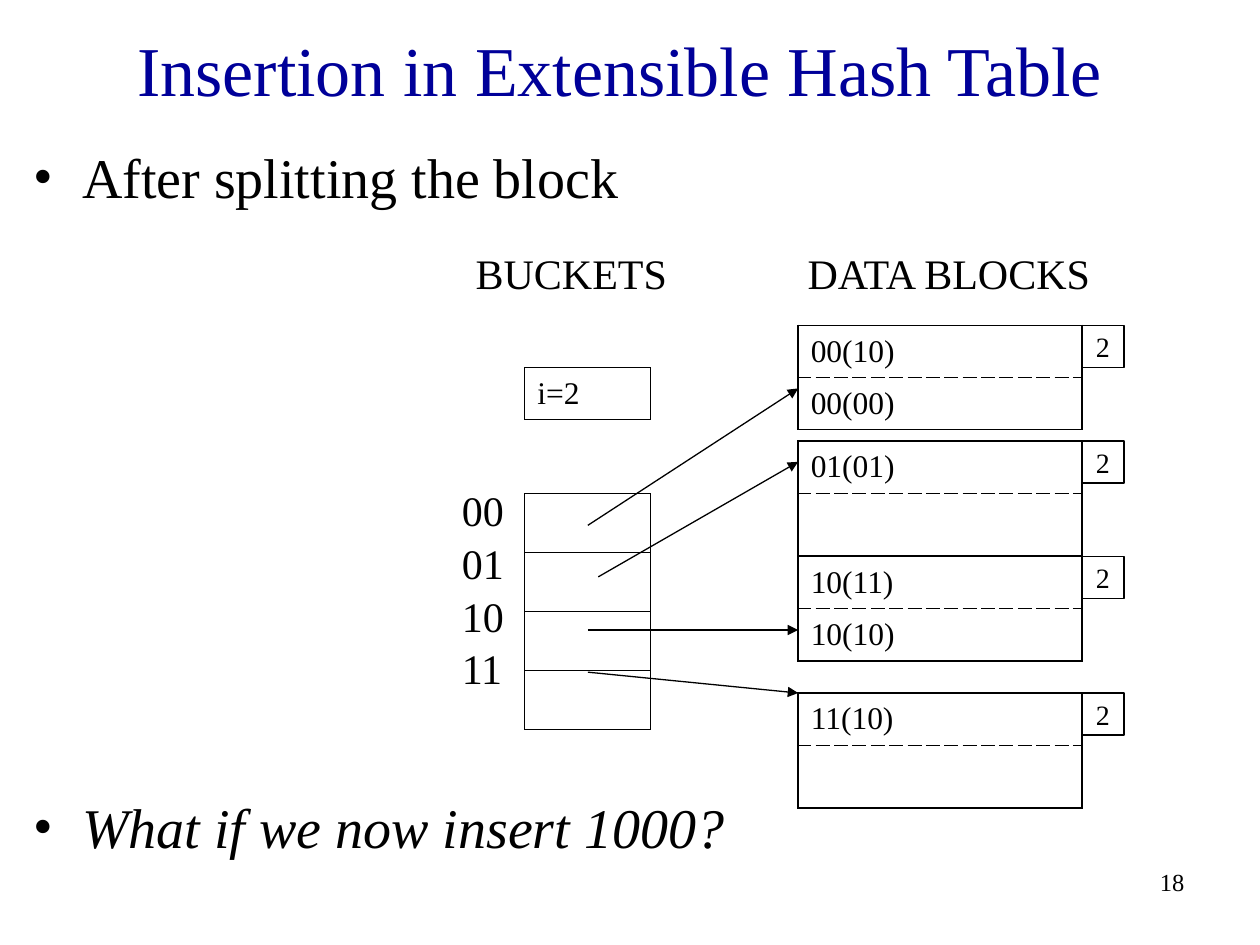
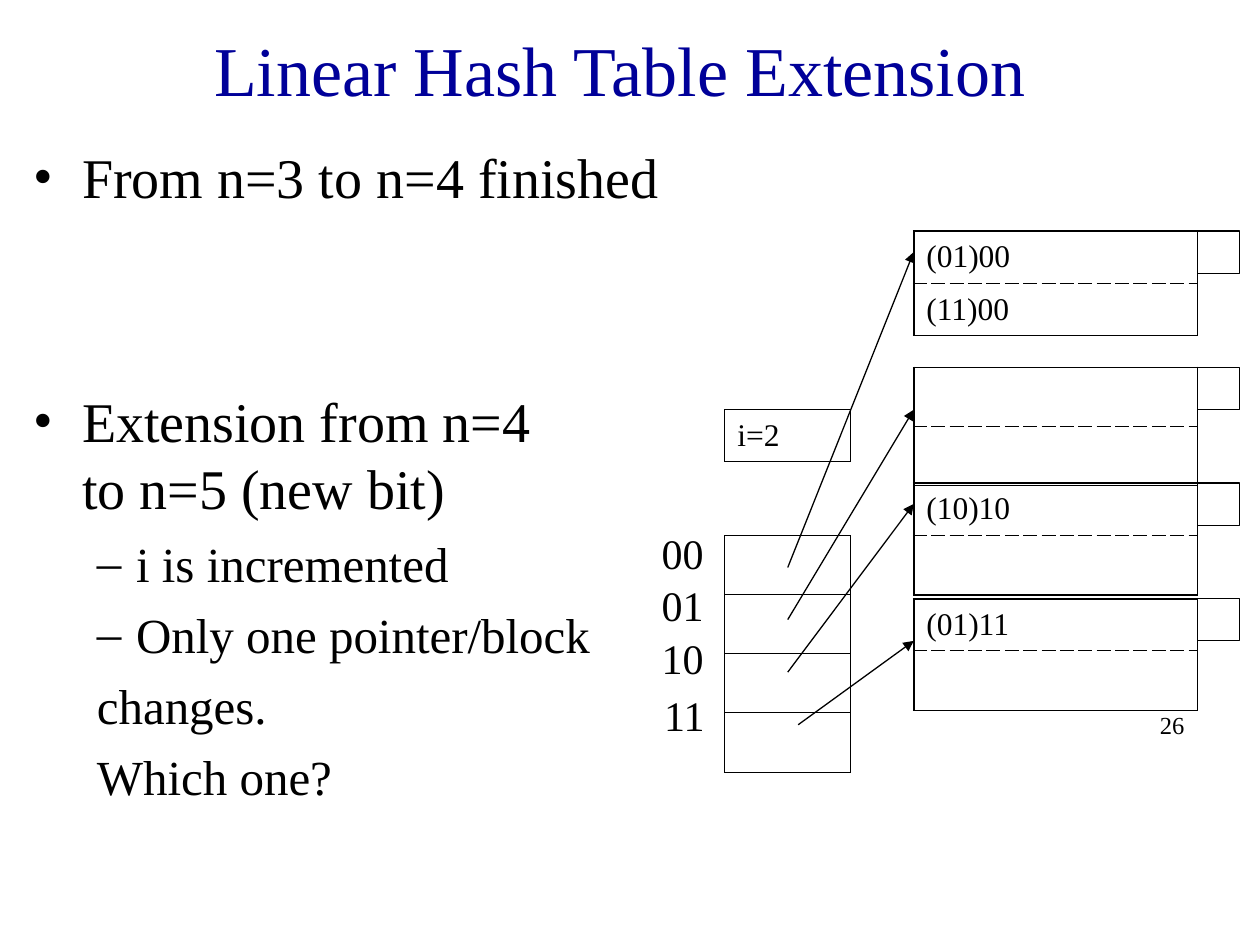
from dataclasses import dataclass

from lxml import etree
from pptx import Presentation
from pptx.dml.color import RGBColor
from pptx.enum.shapes import MSO_CONNECTOR, MSO_SHAPE
from pptx.enum.text import MSO_ANCHOR, MSO_AUTO_SIZE, PP_ALIGN
from pptx.oxml.ns import qn
from pptx.util import Cm, Pt

STRAIGHT, RECTANGLE = MSO_CONNECTOR.STRAIGHT, MSO_SHAPE.RECTANGLE
MIDDLE, TOP = MSO_ANCHOR.MIDDLE, MSO_ANCHOR.TOP
NO_AUTOFIT = MSO_AUTO_SIZE.NONE
LEFT, CENTER, RIGHT = PP_ALIGN.LEFT, PP_ALIGN.CENTER, PP_ALIGN.RIGHT


@dataclass(frozen=True)
class Theme:
    font: str = "Times New Roman"
    ink: str = "000000"
    title_ink: str = "000099"
    title: int = 40
    bullet: int = 32
    sub_bullet: int = 28
    label: int = 24
    entry: int = 18
    depth: int = 16
    page: int = 14
    line_pitch: float = 1.2
    line: float = 0.75
    block_border: float = 1.08
    thin_border: float = 0.45


THEME = Theme()

# Sizes of the diagram parts, in centimetres
BLOCK_WIDTH, ENTRY_HEIGHT = 5.72, 1.05
DEPTH_SIDE = 0.85
BUCKET_WIDTH, BUCKET_HEIGHT = 2.54, 1.19
LABEL_PITCH = 1.06
BUCKET_KEYS = ["00", "01", "10", "11"]


@dataclass
class Block:
    top: float
    entries: tuple
    pointer_from: tuple  # relative to the bucket array
    pointer_drop: float  # below the top of the block
    depth: str = ""


@dataclass
class Item:
    text: str
    before: float = 0
    level: int = 0
    bullet: str = ""
    italic: bool = False


def style(paragraph, size, color=THEME.ink, align=LEFT, italic=None):
    paragraph.alignment = align
    font = paragraph.font
    font.name, font.size, font.italic = THEME.font, Pt(size), italic
    font.color.rgb = RGBColor.from_string(color)


def add_label(slide, text, left, top, width, size=THEME.label, align=LEFT):
    box = slide.shapes.add_textbox(Cm(left), Cm(top), Cm(width), Cm(1.27))
    box.text_frame.text = text
    style(box.text_frame.paragraphs[0], size, align=align)


# Title and list
def place(placeholder, left, top, width, height, anchor):
    placeholder.left, placeholder.top = Cm(left), Cm(top)
    placeholder.width, placeholder.height = Cm(width), Cm(height)
    frame = placeholder.text_frame
    frame.auto_size, frame.vertical_anchor = NO_AUTOFIT, anchor
    return frame


def add_title(slide, text):
    frame = place(slide.shapes.title, 0.43, 0.43, 24.13, 1.9, MIDDLE)
    frame.text = text
    style(frame.paragraphs[0], THEME.title, THEME.title_ink, CENTER)


def set_bullet(paragraph, item):
    margin, hanging = [(0.97, 0.97), (2.06, 0.79)][item.level]
    properties = paragraph._p.get_or_add_pPr()
    properties.set("marL", str(Cm(margin)))
    properties.set("indent", str(-Cm(hanging)))
    if item.bullet:
        etree.SubElement(properties, qn("a:buFont"), typeface=THEME.font)
        etree.SubElement(properties, qn("a:buChar"), char=item.bullet)
    else:
        etree.SubElement(properties, qn("a:buNone"))


def add_list(slide, items):
    frame = place(slide.placeholders[1], 0.43, 2.75, 24.13, 15.03, TOP)
    for index, item in enumerate(items):
        paragraph = frame.add_paragraph() if index else frame.paragraphs[0]
        paragraph.text = item.text
        paragraph.level = item.level
        set_bullet(paragraph, item)
        size = THEME.sub_bullet if item.level else THEME.bullet
        paragraph.space_before = Pt(item.before)
        paragraph.line_spacing = Pt(size * THEME.line_pitch)
        style(paragraph, size, italic=item.italic)


# Tables
def set_borders(cell, widths, dashed=()):
    properties = cell._tc.get_or_add_tcPr()
    for index, side in enumerate("LRTB"):
        width = THEME.thin_border if side in dashed else widths
        line = etree.Element(qn(f"a:ln{side}"), w=str(Pt(width)))
        fill = etree.SubElement(line, qn("a:solidFill"))
        etree.SubElement(fill, qn("a:srgbClr"), val=THEME.ink)
        if side in dashed:
            etree.SubElement(line, qn("a:prstDash"), val="dash")
        properties.insert(index, line)


def add_column(slide, left, top, width, texts, heights, border, dashed=False):
    frame = slide.shapes.add_table(len(texts), 1, Cm(left), Cm(top),
                                   Cm(width), Cm(sum(heights)))
    table = frame.table
    table.first_row = table.horz_banding = False
    for index, (text, height) in enumerate(zip(texts, heights)):
        table.rows[index].height = Cm(height)
        cell = table.cell(index, 0)
        cell.fill.background()
        cell.vertical_anchor = MIDDLE
        inner = ("T" if index else "") + ("B" if index < len(texts) - 1 else "")
        set_borders(cell, border, inner if dashed else ())
        if text:
            cell.text = text
            style(cell.text_frame.paragraphs[0], THEME.entry)


# Hash table diagram
def add_pointer(slide, start, end):
    pointer = slide.shapes.add_connector(STRAIGHT, *map(Cm, start + end))
    pointer.line.width = Pt(THEME.line)
    pointer.line.color.rgb = RGBColor.from_string(THEME.ink)
    etree.SubElement(pointer.line._get_or_add_ln(), qn("a:tailEnd"), type="triangle")
    etree.SubElement(pointer._element.spPr, qn("a:effectLst"))


def add_block(slide, left, block, empty_height):
    heights = [ENTRY_HEIGHT if text else empty_height for text in block.entries]
    if not any(block.entries):
        heights = [BUCKET_HEIGHT] * len(heights)
    add_column(slide, left, block.top, BLOCK_WIDTH, block.entries, heights,
               THEME.block_border, dashed=True)
    tag = slide.shapes.add_shape(RECTANGLE, Cm(left + BLOCK_WIDTH), Cm(block.top),
                                 Cm(DEPTH_SIDE), Cm(DEPTH_SIDE))
    tag.shadow.inherit = False
    tag.fill.background()
    tag.line.width = Pt(THEME.line)
    tag.line.color.rgb = RGBColor.from_string(THEME.ink)
    if block.depth:
        tag.text_frame.word_wrap = False
        tag.text_frame.text = block.depth
        style(tag.text_frame.paragraphs[0], THEME.depth, align=CENTER)


def add_buckets(slide, left, top, last_shift):
    add_column(slide, left, top - 2.54, BUCKET_WIDTH, ["i=2"], [ENTRY_HEIGHT],
               THEME.thin_border)
    add_column(slide, left, top, BUCKET_WIDTH, [""] * len(BUCKET_KEYS),
               [BUCKET_HEIGHT] * len(BUCKET_KEYS), THEME.thin_border)
    for index, key in enumerate(BUCKET_KEYS):
        dx, dy = last_shift if key == BUCKET_KEYS[-1] else (0, 0)
        add_label(slide, key, left - 1.52 + dx,
                  top - 0.3 + index * LABEL_PITCH + dy, 1.35)


def add_hash_table(slide, left, top, block_left, blocks, empty_height,
                   last_shift=(0, 0)):
    add_buckets(slide, left, top, last_shift)
    for block in blocks:
        add_block(slide, block_left, block, empty_height)
        dx, dy = block.pointer_from
        add_pointer(slide, (left + dx, top + dy),
                    (block_left, block.top + block.pointer_drop))


# Slides
def new_slide(deck, title, items, page, page_top):
    slide = deck.slides.add_slide(deck.slide_layouts[1])
    add_title(slide, title)
    add_list(slide, items)
    add_label(slide, page, 18.84, page_top, 5.29, THEME.page, RIGHT)
    return slide


def extensible_slide(deck):
    items = [Item("After splitting the block", bullet="•"),
             Item("What if we now insert 1000?", 333, bullet="•", italic=True)]
    slide = new_slide(deck, "Insertion in Extensible Hash Table", items, "18", 17.35)
    add_label(slide, "BUCKETS", 9.34, 4.87, 4.37)
    add_label(slide, "DATA BLOCKS", 16.03, 4.87, 6.4)
    blocks = [Block(6.56, ("00(10)", "00(00)"), (1.27, 0.64), 1.27, "2"),
              Block(8.89, ("01(01)", ""), (1.48, 1.68), 0.42, "2"),
              Block(11.22, ("10(11)", "10(10)"), (1.27, 2.75), 1.48, "2"),
              Block(13.97, ("11(10)", ""), (1.27, 3.6), 0, "2")]
    add_hash_table(slide, 10.58, 9.95, 16.09, blocks, 1.27)


def linear_slide(deck):
    items = [Item("From n=3 to n=4 finished", bullet="•"),
             Item("Extension from n=4\vto n=5 (new bit)", 101, bullet="•"),
             Item("i is incremented", 7, 1, "–"),
             Item("Only one pointer/block", 7, 1, "–"),
             Item("changes.", 7, 1),
             Item("Which one?", 7, 1)]
    slide = new_slide(deck, "Linear Hash Table Extension", items, "26", 14.18)
    blocks = [Block(4.66, ("(01)00", "(11)00"), (1.27, 0.64), 0.42),
              Block(7.41, ("", ""), (1.27, 1.69), 0.85),
              Block(9.74, ("(10)10", ""), (1.27, 2.75), 0.42),
              Block(12.07, ("(01)11", ""), (1.48, 3.81), 0.85)]
    add_hash_table(slide, 14.61, 10.8, 18.42, blocks, 1.2, last_shift=(0.05, 0.1))


def main():
    deck = Presentation()
    deck.slide_width, deck.slide_height = Cm(25.4), Cm(19.05)
    extensible_slide(deck)
    linear_slide(deck)
    deck.save("out.pptx")


if __name__ == "__main__":
    main()
